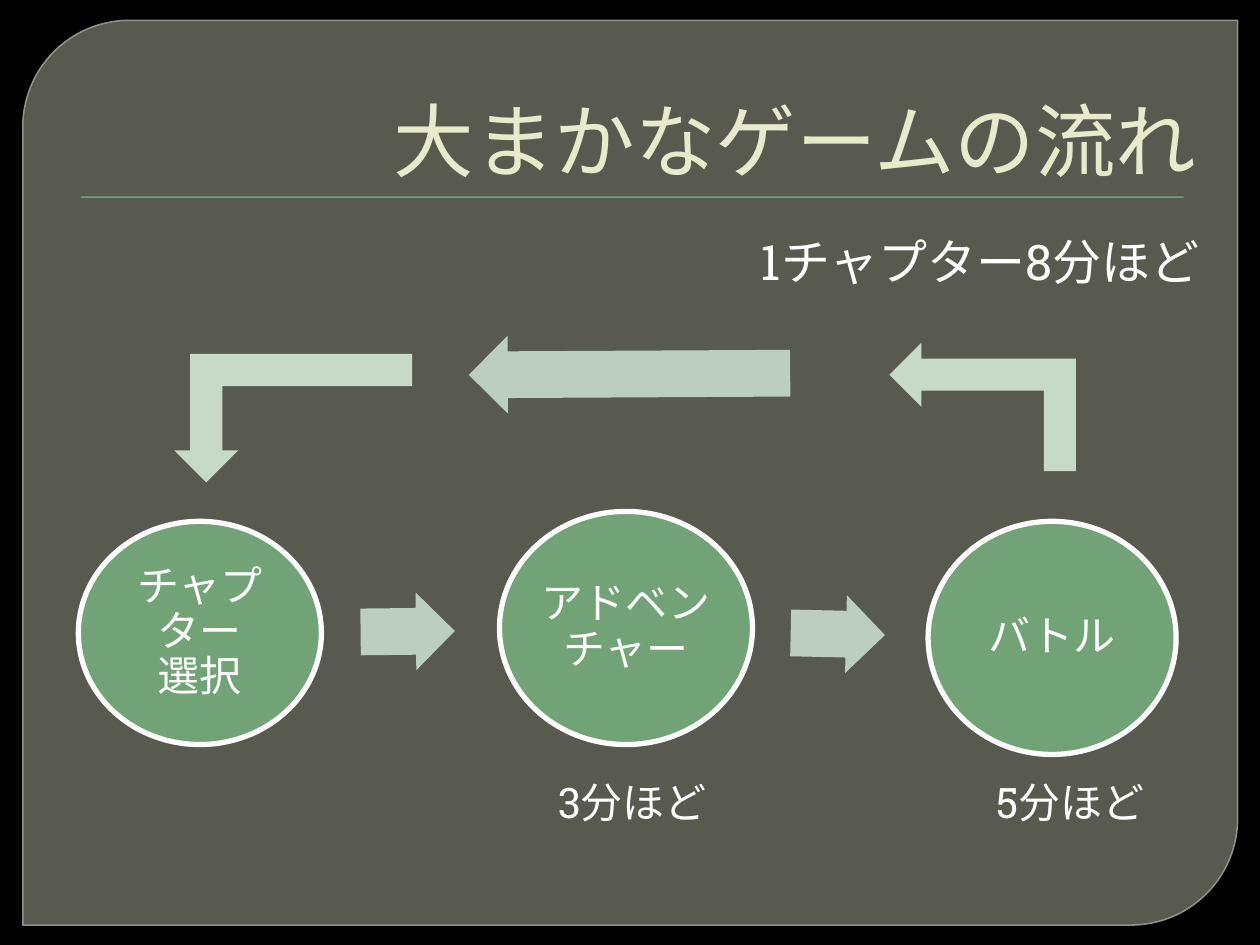
import pptx
import pptx.util
import pptx.dml.color
import pptx.enum.shapes
import pptx.enum.text
import lxml.etree

Cm = pptx.util.Cm
Pt = pptx.util.Pt
RGBColor = pptx.dml.color.RGBColor
SHAPE = pptx.enum.shapes.MSO_SHAPE
ALIGN = pptx.enum.text.PP_ALIGN
ANCHOR = pptx.enum.text.MSO_ANCHOR

BLACK = RGBColor(0x00, 0x00, 0x00)
WHITE = RGBColor(0xFF, 0xFF, 0xFF)
PANEL = RGBColor(0x88, 0x8B, 0x7B)
PANEL_EDGE = RGBColor(0x9D, 0xA0, 0x90)
GREEN = RGBColor(0x72, 0xA3, 0x76)
FLOW_ARROW = RGBColor(0xBC, 0xCE, 0xBD)
BENT_ARROW = RGBColor(0xC7, 0xDA, 0xC8)
CREAM = RGBColor(0xE7, 0xEA, 0xCB)
FONT = "Roboto Slab"

TITLE = "大まかなゲームの流れ"
FIRST_STAGE_X = 4.03
STAGE_PITCH = 8.59
STAGES = [
    (["チャプター", "選択"], 12.76, 4.9, 4.5),
    (["アドベンチャー"], 12.66, 5.1, 4.7),
    (["バトル"], 12.86, 5.0, 4.7),
]
ARROWS = [
    (SHAPE.RIGHT_ARROW, 8.22, 12.73, 1.9, 1.57, 359.4, FLOW_ARROW),
    (SHAPE.RIGHT_ARROW, 16.89, 12.78, 1.9, 1.57, 1.3, FLOW_ARROW),
    (SHAPE.RIGHT_ARROW, 12.69, 7.54, 6.48, 1.57, 179.7, FLOW_ARROW),
    (SHAPE.BENT_UP_ARROW, 5.91, 8.43, 4.8, 2.59, 180, BENT_ARROW),
    (SHAPE.BENT_UP_ARROW, 19.81, 8.2, 2.59, 3.76, 270, BENT_ARROW),
]
CAPTIONS = [
    ("3分ほど", 9.73, 15.52, 5.59, 1.27, 1.52, 24),
    ("5分ほど", 17.5, 15.52, 7.39, 1.27, 2.58, 24),
    ("1チャプター8分ほど", 15.09, 4.55, 9.5, 1.45, 0.25, 28),
]


def add_shape(kind, left, top, width, height, color):
    shape = slide.shapes.add_shape(kind, Cm(left), Cm(top), Cm(width), Cm(height))
    shape.shadow.inherit = False
    shape.fill.solid()
    shape.fill.fore_color.rgb = color
    shape.line.fill.background()
    return shape


def add_centred(kind, x, y, width, height, color):
    return add_shape(kind, x - width / 2, y - height / 2, width, height, color)


def outline(shape, color, width):
    shape.line.color.rgb = color
    shape.line.width = Pt(width)


def set_opacity(fill_owner, percent):
    color = fill_owner.find(".//" + pptx.oxml.ns.qn("a:srgbClr"))
    alpha = lxml.etree.SubElement(color, pptx.oxml.ns.qn("a:alpha"))
    alpha.set("val", str(percent * 1000))


def add_run(paragraph, text, size, color=WHITE):
    run = paragraph.add_run()
    run.text = text
    run.font.name = FONT
    run.font.size = Pt(size)
    run.font.color.rgb = color


presentation = pptx.Presentation()
presentation.slide_width = Cm(25.4)
presentation.slide_height = Cm(19.05)
slide = presentation.slides.add_slide(presentation.slide_layouts[5])
slide.background.fill.solid()
slide.background.fill.fore_color.rgb = BLACK

panel = add_shape(SHAPE.ROUND_2_DIAG_RECTANGLE, 0.46, 0.41, 24.49, 18.24, PANEL)
panel.adjustments[0] = 0.118
panel.adjustments[1] = 0
set_opacity(panel.element.spPr, 65)
outline(panel, PANEL_EDGE, 0.87)
set_opacity(panel.line.fill._xPr, 88)
rule = add_shape(SHAPE.RECTANGLE, 1.63, 3.96, 22.23, 0.03, GREEN)

title = slide.shapes.title
rule.element.addnext(title.element)
title.left, title.top, title.width, title.height = Cm(1.5), Cm(0.74), Cm(22.86), Cm(3.18)
title.text_frame.vertical_anchor = ANCHOR.BOTTOM
title.text_frame.auto_size = pptx.enum.text.MSO_AUTO_SIZE.NONE
title_paragraph = title.text_frame.paragraphs[0]
title_paragraph.alignment = ALIGN.RIGHT
add_run(title_paragraph, TITLE, 46, CREAM)

for index, (lines, y, width, height) in enumerate(STAGES):
    x = FIRST_STAGE_X + index * STAGE_PITCH
    stage = add_centred(SHAPE.OVAL, x, y, width, height, GREEN)
    outline(stage, WHITE, 3)
    frame = stage.text_frame
    frame.word_wrap = True
    frame.vertical_anchor = ANCHOR.MIDDLE
    frame.margin_left = frame.margin_right = Cm(0.08)
    frame.margin_top = frame.margin_bottom = Cm(0.08)
    paragraph = frame.paragraphs[0]
    paragraph.alignment = ALIGN.CENTER
    paragraph.line_spacing = 0.9
    for number, line in enumerate(lines):
        if number:
            paragraph.add_line_break()
        add_run(paragraph, line, 24)

for kind, x, y, width, height, rotation, color in ARROWS:
    arrow = add_centred(kind, x, y, width, height, color)
    arrow.rotation = rotation
    if kind == SHAPE.RIGHT_ARROW:
        arrow.adjustments[0] = 0.6
        arrow.adjustments[1] = 0.5

for text, left, top, width, height, margin, size in CAPTIONS:
    caption = slide.shapes.add_textbox(Cm(left), Cm(top), Cm(width), Cm(height))
    caption.text_frame.word_wrap = True
    caption.text_frame.margin_left = Cm(margin)
    add_run(caption.text_frame.paragraphs[0], text, size)

presentation.save("out.pptx")
